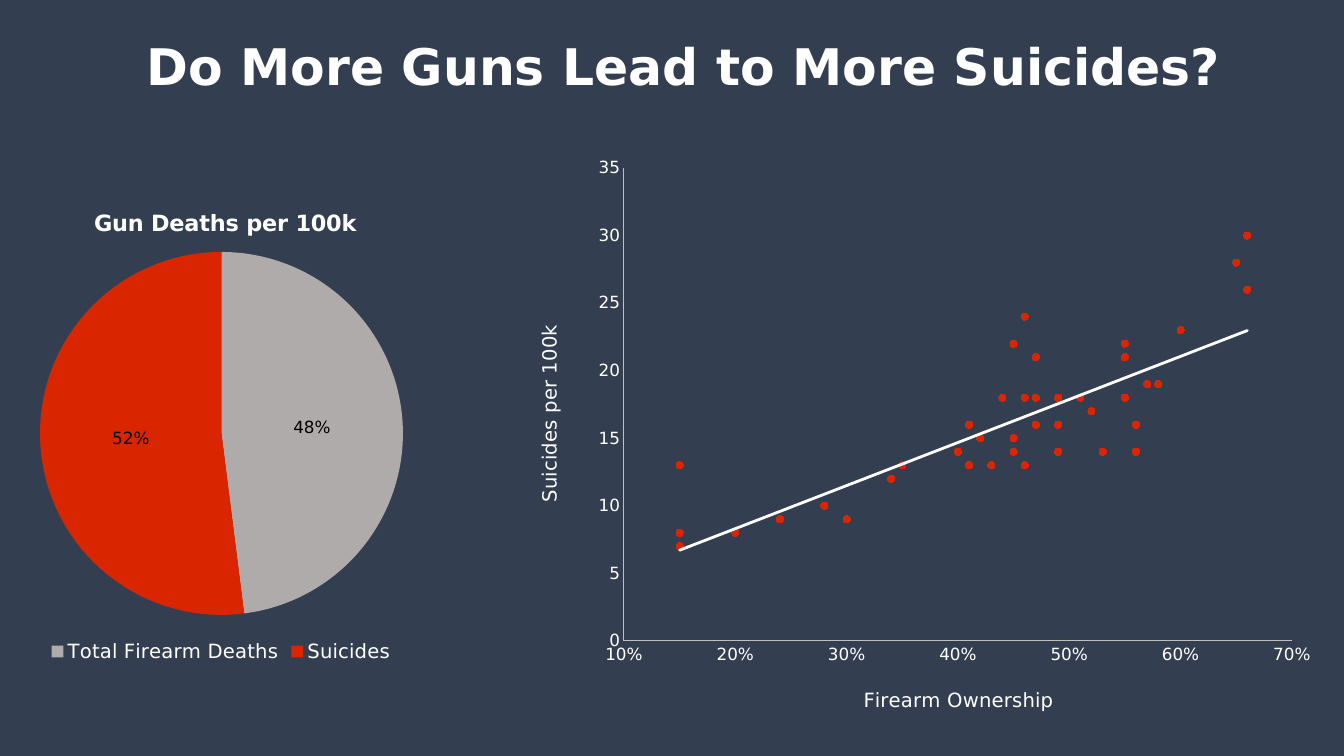
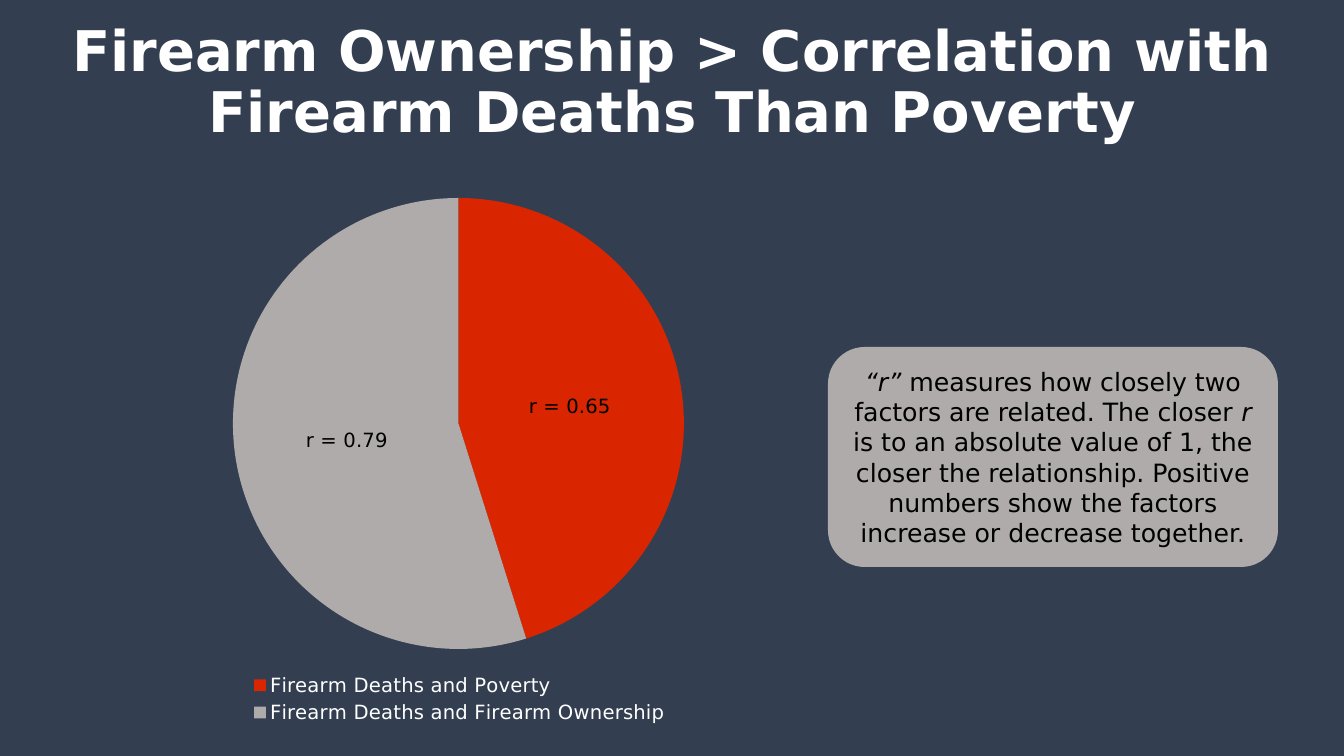
from lxml import etree
from pptx import Presentation
from pptx.chart.data import CategoryChartData, XyChartData
from pptx.dml.color import RGBColor
from pptx.enum.chart import (XL_CHART_TYPE, XL_LABEL_POSITION, XL_LEGEND_POSITION,
                             XL_MARKER_STYLE, XL_TICK_MARK)
from pptx.enum.shapes import MSO_SHAPE
from pptx.enum.text import MSO_ANCHOR, PP_ALIGN
from pptx.oxml import parse_xml
from pptx.oxml.ns import qn
from pptx.util import Pt

PX = 12192000 / 1344
W, H = 1344, 756
FONT = "DejaVu Sans"
COLORS = {"navy": "333F50", "red": "DA2600", "gray": "AFABAB",
          "axis": "BFBFBF", "white": "FFFFFF", "black": "000000"}
RGB = {name: RGBColor.from_string(value) for name, value in COLORS.items()}
CENTER, MIDDLE = PP_ALIGN.CENTER, MSO_ANCHOR.MIDDLE
PIE, SCATTER = XL_CHART_TYPE.PIE, XL_CHART_TYPE.XY_SCATTER
BOTTOM, LABEL_CENTER = XL_LEGEND_POSITION.BOTTOM, XL_LABEL_POSITION.CENTER
CIRCLE, NO_TICK = XL_MARKER_STYLE.CIRCLE, XL_TICK_MARK.NONE
NS = "http://schemas.openxmlformats.org/drawingml/2006/"


def style(font, size, color, bold=False):
    font.name, font.size, font.bold = FONT, Pt(size), bold
    font.color.rgb = RGB[color]


def place(element, index, frame, x, y, w=None, h=None):
    """Fix a chart part at slide pixels inside the chart frame."""
    for old in element.findall(qn("c:layout")):
        element.remove(old)
    layout = etree.Element(qn("c:layout"))
    manual = etree.SubElement(layout, qn("c:manualLayout"))
    values = [("xMode", "edge"), ("yMode", "edge"),
              ("x", (x - frame[0]) / frame[2]), ("y", (y - frame[1]) / frame[3])]
    if w:
        values.insert(0, ("layoutTarget", "inner"))
        values += [("w", w / frame[2]), ("h", h / frame[3])]
    for tag, value in values:
        etree.SubElement(manual, qn("c:" + tag)).set("val", str(value))
    element.insert(index, layout)


prs = Presentation()
prs.slide_width, prs.slide_height = round(W * PX), round(H * PX)

# Slides with shared background and title style
slides = []
for title, size, box in [
    ("Do More Guns Lead to More Suicides?", 36, (23, 11, 1321, 116)),
    ("Firearm Ownership > Correlation with Firearm Deaths Than Poverty", 40,
     (0, 11, 1344, 146)),
]:
    s = prs.slides.add_slide(prs.slide_layouts[6])
    s.background.fill.solid()
    s.background.fill.fore_color.rgb = RGB["navy"]
    tf = s.shapes.add_textbox(*[round(v * PX) for v in box]).text_frame
    tf.word_wrap, tf.vertical_anchor = True, MIDDLE
    tf.text = title
    p = tf.paragraphs[0]
    p.alignment, p.line_spacing = CENTER, 0.9
    style(p.runs[0].font, size, "white", True)
    slides.append(s)

# Scatter chart: ownership share and suicides per 100k, by state
ownership = [
    0.65, 0.56, 0.57, 0.46, 0.28, 0.45, 0.24, 0.34, 0.35, 0.49,
    0.15, 0.44, 0.6, 0.28, 0.45, 0.49, 0.55, 0.53, 0.15, 0.3,
    0.47, 0.4, 0.43, 0.49, 0.56, 0.66, 0.46, 0.55, 0.45, 0.41,
    0.15, 0.46, 0.47, 0.2, 0.4, 0.55, 0.51, 0.41, 0.15, 0.49,
    0.55, 0.52, 0.46, 0.47, 0.45, 0.51, 0.42, 0.45, 0.58, 0.66]
suicides = [
    28, 16, 19, 18, 10, 22, 9, 12, 13, 14, 13, 18, 23, 10, 15, 18, 18, 14, 8, 9,
    16, 14, 13, 18, 14, 26, 13, 18, 15, 16, 7, 24, 18, 8, 14, 22, 18, 13, 8, 16,
    21, 17, 13, 21, 14, 18, 15, 14, 19, 30]
data = XyChartData()
points = data.add_series("Series 1")
for x, y in zip(ownership, suicides):
    points.add_data_point(x, y)
frame = (508, 145, 818, 605)
chart = slides[0].shapes.add_chart(SCATTER, *[round(v * PX) for v in frame], data).chart
chart.has_title = chart.has_legend = False
style(chart.font, 12, "white")
place(chart.plots[0]._element.getparent(), 0, frame, 624, 168, 668, 473)

series = chart.plots[0].series[0]
series.format.line.fill.background()
series.marker.style, series.marker.size = CIRCLE, 5
for fill in (series.marker.format.fill, series.marker.format.line.fill):
    fill.solid()
    fill.fore_color.rgb = RGB["red"]
trend = parse_xml(
    f'<c:trendline xmlns:c="{NS}chart" xmlns:a="{NS}main">'
    f'<c:spPr><a:ln w="25400" cap="rnd"><a:solidFill><a:srgbClr val="{COLORS["white"]}"/>'
    '</a:solidFill></a:ln></c:spPr><c:trendlineType val="linear"/>'
    '<c:dispRSqr val="0"/><c:dispEq val="0"/></c:trendline>')
series._element.find(qn("c:xVal")).addprevious(trend)

for axis, text, low, high, step, fmt, left, top, turn in [
    (chart.category_axis, "Firearm Ownership", 0.1, 0.7, 0.1, "0%", 860, 683, 0),
    (chart.value_axis, "Suicides per 100k", 0, 35, 5, "0", 532, 321, -90),
]:
    axis.minimum_scale, axis.maximum_scale, axis.major_unit = low, high, step
    axis.has_major_gridlines = False
    axis.major_tick_mark = axis.minor_tick_mark = NO_TICK
    axis.format.line.color.rgb = RGB["axis"]
    axis.format.line.width = Pt(0.75)
    axis.tick_labels.number_format = fmt
    axis.tick_labels.number_format_is_linked = False
    style(axis.tick_labels.font, 12, "white")
    tf = axis.axis_title.text_frame
    tf.text = text
    style(tf.paragraphs[0].runs[0].font, 14, "white")
    tf._txBody.bodyPr.set("rot", str(turn * 60000))
    tf._txBody.bodyPr.set("vert", "horz")
    place(axis.axis_title._element, 1, frame, left, top)

# Pie charts
for s, frame, circle, slices, title, label_size, percent in [
    (slides[0], (-101, 184, 644, 483), (40, 252, 363, 363),
     [("Total Firearm Deaths", 48, "gray"), ("Suicides", 52, "red")],
     "Gun Deaths per 100k", 12, True),
    (slides[1], (68, 184, 783, 544), (233, 198, 451, 451),
     [("Firearm Deaths and Poverty", 0.65, "red"),
      ("Firearm Deaths and Firearm Ownership", 0.79, "gray")],
     None, 14, False),
]:
    data = CategoryChartData()
    data.categories = [name for name, _, _ in slices]
    data.add_series("Series 1", [value for _, value, _ in slices])
    chart = s.shapes.add_chart(PIE, *[round(v * PX) for v in frame], data).chart
    style(chart.font, 14, "white")
    chart.has_title = title is not None
    if title:
        tf = chart.chart_title.text_frame
        tf.text = title
        style(tf.paragraphs[0].runs[0].font, 16, "white", True)
        place(chart.chart_title._element, 1, frame, 90, 205)
    chart.has_legend = True
    chart.legend.position, chart.legend.include_in_layout = BOTTOM, False
    style(chart.legend.font, 14, "white")

    plot = chart.plots[0]
    plot.vary_by_categories = True
    place(plot._element.getparent(), 0, frame, *circle)
    for i, (_, _, color) in enumerate(slices):
        fmt = plot.series[0].points[i].format
        fmt.fill.solid()
        fmt.fill.fore_color.rgb = RGB[color]
        fmt.line.fill.background()
    plot.has_data_labels = True
    labels = plot.data_labels
    labels.show_percentage, labels.show_value = percent, not percent
    labels.number_format = "0%" if percent else '"r = "0.00'
    labels.number_format_is_linked = False
    labels.position = LABEL_CENTER
    style(labels.font, label_size, "black")

# Explanation of r
box = (828, 347, 450, 220)
sp = slides[1].shapes.add_shape(MSO_SHAPE.ROUNDED_RECTANGLE, *[round(v * PX) for v in box])
sp.shadow.inherit = False
sp.fill.solid()
sp.fill.fore_color.rgb = RGB["gray"]
sp.line.fill.background()
tf = sp.text_frame
tf.word_wrap, tf.vertical_anchor = True, MIDDLE
p = tf.paragraphs[0]
p.alignment = CENTER
for text, italic in [
    ("“r”", True),
    (" measures how closely two factors are related. The closer ", False),
    ("r", True),
    (" is to an absolute value of 1, the closer the relationship. "
     "Positive numbers show the factors increase or decrease together.", False),
]:
    r = p.add_run()
    r.text = text
    style(r.font, 18, "black")
    r.font.italic = italic

prs.save("out.pptx")
